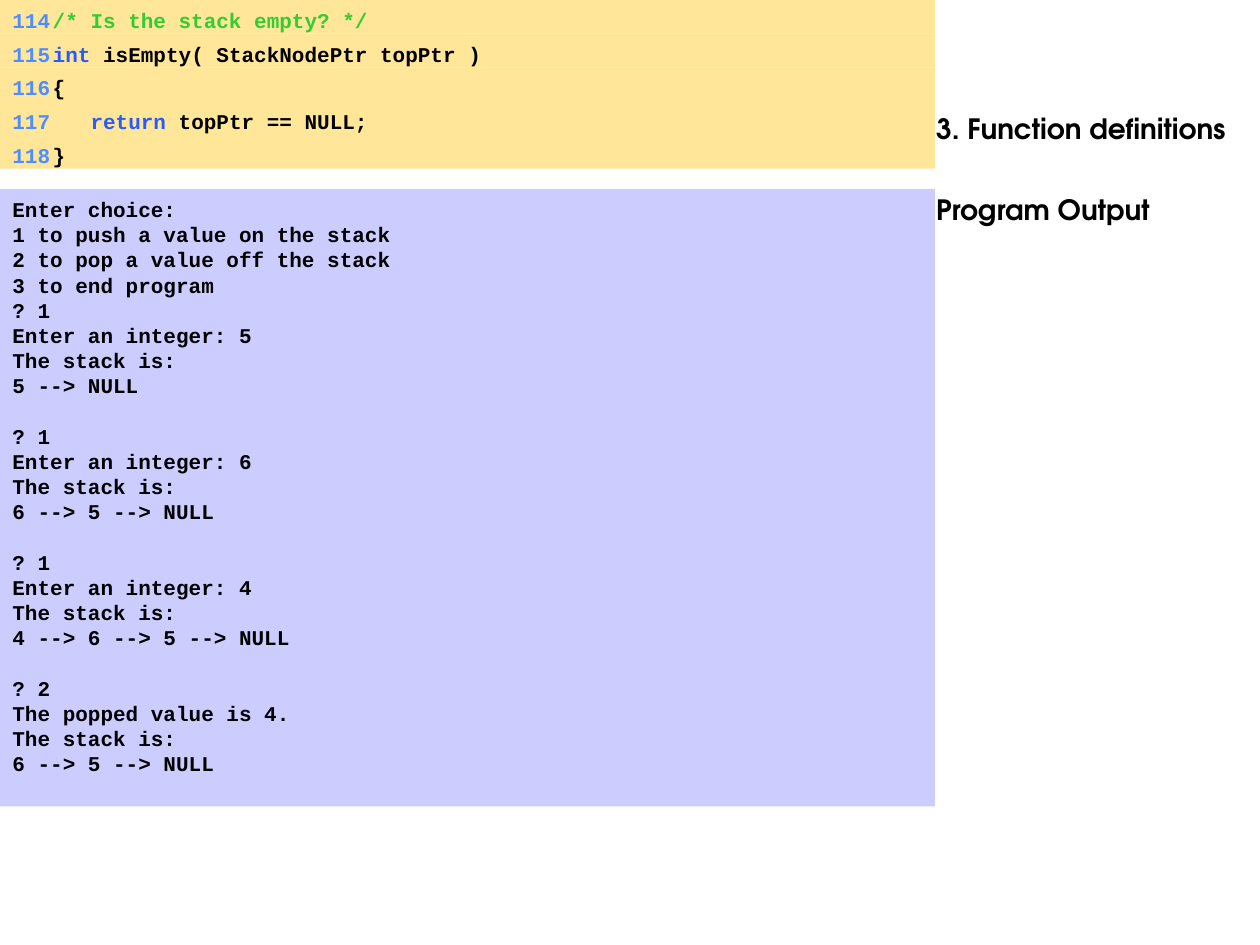
from lxml.etree import SubElement
from pptx import Presentation
from pptx.dml.color import RGBColor
from pptx.enum.shapes import MSO_SHAPE as Preset
from pptx.enum.text import MSO_ANCHOR as Anchor, MSO_AUTO_SIZE as AutoSize, PP_ALIGN as Align
from pptx.oxml.ns import qn
from pptx.util import Inches, Pt

WIDTH, HEIGHT = Inches(10), Inches(7.5)
ROW = HEIGHT / 28
PANEL_WIDTH = WIDTH * 0.742
COLORS = {
    "code_fill": "FFE699",
    "output_fill": "CCCCFF",
    "number": "4D8DFF",
    "keyword": "275AFF",
    "comment": "33CC33",
    "plain": "000000",
}
CODE_FONT = {"name": "Courier New", "size": Pt(12), "bold": True}
HEADING_FONT = {"name": "TeX Gyre Adventor", "size": Pt(16), "bold": True}
LINE = Pt(14.4)
TABS = [(0.15, "r"), (0.32, "l")]

CODE = [
    [("\t114\t", "number"), ("/* Is the stack empty? */", "comment")],
    [("\t115\t", "number"), ("int", "keyword"), (" isEmpty( StackNodePtr topPtr )", "plain")],
    [("\t116\t", "number"), ("{", "plain")],
    [("\t117\t   ", "number"), ("return", "keyword"), (" topPtr == NULL;", "plain")],
    [("\t118\t", "number"), ("}", "plain")],
]
OUTPUT = [
    ["Enter choice:", "1 to push a value on the stack", "2 to pop a value off the stack",
     "3 to end program", "? 1", "Enter an integer: 5", "The stack is:", "5 --> NULL"],
    ["? 1", "Enter an integer: 6", "The stack is:", "6 --> 5 --> NULL"],
    ["? 1", "Enter an integer: 4", "The stack is:", "4 --> 6 --> 5 --> NULL"],
    ["? 2", "The popped value is 4.", "The stack is:", "6 --> 5 --> NULL"],
]
HEADINGS = ["3. Function definitions", "Program Output"]


def apply(target, values):
    for key, value in values.items():
        setattr(target, key, value)


def add_run(paragraph, text, color, font):
    run = paragraph.add_run()
    run.text = text
    apply(run.font, font)
    run.font.color.rgb = RGBColor.from_string(COLORS[color])


def set_frame(frame, top_inset):
    apply(frame, {
        "word_wrap": True, "auto_size": AutoSize.NONE, "vertical_anchor": Anchor.TOP,
        "margin_left": Inches(0.1), "margin_right": Inches(0.1),
        "margin_top": Inches(top_inset), "margin_bottom": Inches(0.05),
    })


def next_paragraph(frame, index):
    return frame.add_paragraph() if index else frame.paragraphs[0]


def add_panel(shapes, box, fill):
    panel = shapes.add_shape(Preset.RECTANGLE, *map(round, box))
    panel.shadow.inherit = False
    panel.fill.solid()
    panel.fill.fore_color.rgb = RGBColor.from_string(COLORS[fill])
    panel.line.fill.background()
    set_frame(panel.text_frame, 0.06)
    return panel.text_frame


def set_tabs(paragraph):
    tab_list = SubElement(paragraph._p.get_or_add_pPr(), qn("a:tabLst"))
    for position, align in TABS:
        SubElement(tab_list, qn("a:tab"), pos=str(Inches(position)), algn=align)


def add_code(slide, box):
    left, top, width, height = box
    row_height = height / len(CODE)
    rows = slide.shapes.add_group_shape().shapes
    for index, tokens in enumerate(CODE):
        frame = add_panel(rows, (left, top + index * row_height, width, row_height), "code_fill")
        line = frame.paragraphs[0]
        apply(line, {"alignment": Align.LEFT, "line_spacing": LINE})
        set_tabs(line)
        for text, color in tokens:
            add_run(line, text, color, CODE_FONT)


def add_output(slide, box):
    frame = add_panel(slide.shapes, box, "output_fill")
    lines = [(text, block > 0 and row == 0)
             for block, texts in enumerate(OUTPUT) for row, text in enumerate(texts)]
    for index, (text, starts_block) in enumerate(lines):
        line = next_paragraph(frame, index)
        apply(line, {"alignment": Align.LEFT, "line_spacing": LINE})
        if starts_block:
            line.space_before = LINE
        add_run(line, text, "plain", CODE_FONT)


def place_headings(slide, box):
    outline = slide.placeholders[1]
    apply(outline, dict(zip(("left", "top", "width", "height"), map(round, box))))
    set_frame(outline.text_frame, 0.05)
    for index, text in enumerate(HEADINGS):
        heading = next_paragraph(outline.text_frame, index)
        apply(heading, {"alignment": Align.LEFT, "space_before": Pt(27 * index)})
        add_run(heading, text, "plain", HEADING_FONT)


def main():
    deck = Presentation()
    apply(deck, {"slide_width": WIDTH, "slide_height": HEIGHT})
    slide = deck.slides.add_slide(deck.slide_layouts[0])
    empty_title = slide.shapes.title.element
    empty_title.getparent().remove(empty_title)
    place_headings(slide, (WIDTH * 0.733, HEIGHT / 9, WIDTH * 0.267, HEIGHT * 8 / 9))
    add_code(slide, (0, 0, PANEL_WIDTH, ROW * len(CODE)))
    add_output(slide, (0, HEIGHT * 0.2, PANEL_WIDTH, Inches(4.9)))
    deck.save("out.pptx")


if __name__ == "__main__":
    main()
